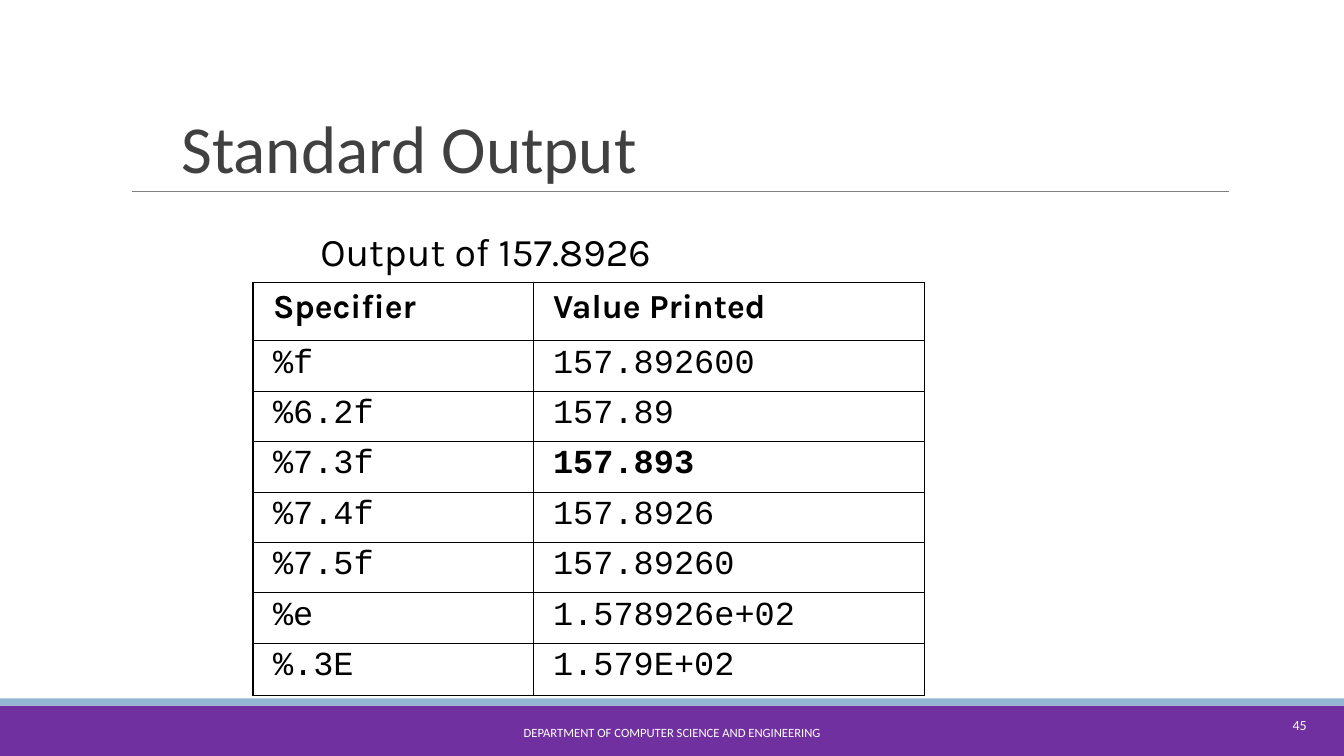
from dataclasses import dataclass

from lxml.etree import SubElement
from pptx import Presentation
from pptx.dml.color import RGBColor
from pptx.enum.shapes import MSO_CONNECTOR, MSO_SHAPE
from pptx.enum.text import MSO_ANCHOR, PP_ALIGN
from pptx.oxml.ns import qn
from pptx.util import Inches, Pt


@dataclass(frozen=True)
class Theme:
    purple: str = "7030A0"
    blue: str = "94B6D2"
    rule: str = "7F7F7F"
    heading: str = "404040"
    black: str = "000000"
    white: str = "FFFFFF"
    sans: str = "Calibri"
    body: str = "Karla"
    code: str = "Courier New"
    title_size: float = 48
    caption_size: float = 28
    table_size: float = 24
    number_size: float = 10
    footer_size: float = 9
    outer_border: float = 1.08
    inner_border: float = 0.45


THEME = Theme()
SLIDE_WIDTH, SLIDE_HEIGHT = 13.34, 7.5
COLUMN_WIDTHS = (2.78, 3.89)
ROW_HEIGHTS = (0.58, *[0.5] * 6, 0.52)
HEADER = ("Specifier", "Value Printed")
OUTPUTS = (
    ("%f", "157.892600"),
    ("%6.2f", "157.89"),
    ("%7.3f", "157.893"),
    ("%7.4f", "157.8926"),
    ("%7.5f", "157.89260"),
    ("%e", "1.578926e+02"),
    ("%.3E", "1.579E+02"),
)
BOLD_VALUE = "157.893"


def write_text(frame, text, *, font, size, color, bold=False,
               align=PP_ALIGN.LEFT, line_spacing=None):
    paragraph = frame.paragraphs[0]
    paragraph.alignment = align
    if line_spacing:
        paragraph.line_spacing = Pt(line_spacing)
    run = paragraph.add_run()
    run.text = text
    run.font.name = font
    run.font.size = Pt(size)
    run.font.bold = bold
    run.font.color.rgb = RGBColor.from_string(color)


def add_text(slide, box, text, *, anchor=MSO_ANCHOR.TOP, **text_format):
    frame = slide.shapes.add_textbox(*map(Inches, box)).text_frame
    frame.word_wrap = True
    frame.vertical_anchor = anchor
    frame.margin_left = frame.margin_top = Inches(0.01)
    frame.margin_right = frame.margin_bottom = 0
    write_text(frame, text, **text_format)


def add_band(slide, box, color):
    band = slide.shapes.add_shape(MSO_SHAPE.RECTANGLE, *map(Inches, box))
    band.shadow.inherit = False
    band.fill.solid()
    band.fill.fore_color.rgb = RGBColor.from_string(color)
    band.line.fill.background()


def add_footer(slide, box):
    left, top, width, height = box
    stripe = 0.07
    add_band(slide, (left, top + stripe, width, height - stripe), THEME.purple)
    add_band(slide, (left, top, width, stripe), THEME.blue)
    add_text(slide, (left + 4.03, top + 0.13, 5.27, 0.4),
             "DEPARTMENT OF COMPUTER SCIENCE AND ENGINEERING",
             font=THEME.sans, size=THEME.footer_size, color=THEME.white,
             align=PP_ALIGN.CENTER, anchor=MSO_ANCHOR.MIDDLE)
    add_text(slide, (left + width - 0.77, top + 0.17, 0.4, 0.18), "45",
             font=THEME.sans, size=THEME.number_size, color=THEME.white,
             align=PP_ALIGN.RIGHT, anchor=MSO_ANCHOR.MIDDLE)


def add_title(slide, box):
    """Place the heading with its rule along the bottom of the box."""
    left, top, width, height = box
    bottom = top + height
    rule = slide.shapes.add_connector(
        MSO_CONNECTOR.STRAIGHT, Inches(left), Inches(bottom),
        Inches(left + width), Inches(bottom))
    rule.line.color.rgb = RGBColor.from_string(THEME.rule)
    rule.line.width = Pt(0.5)
    SubElement(rule.element.spPr, qn("a:effectLst"))
    add_text(slide, (left + 0.48, top, 5.99, height - 0.05),
             "Standard Output", font=THEME.sans, size=THEME.title_size,
             color=THEME.heading, anchor=MSO_ANCHOR.BOTTOM)


def set_borders(cell, outer_sides):
    properties = cell._tc.get_or_add_tcPr()
    for position, side in enumerate("LRTB"):
        points = THEME.outer_border if side in outer_sides else THEME.inner_border
        line = properties.makeelement(qn(f"a:ln{side}"), {"w": str(Pt(points))})
        fill = SubElement(line, qn("a:solidFill"))
        SubElement(fill, qn("a:srgbClr"), val=THEME.black)
        properties.insert(position, line)


def add_output_table(slide, box):
    """Place the caption and the table of specifiers below it."""
    left, top, width, height = box
    caption_height = 0.56
    add_text(slide, (left + 0.66, top, 4.47, 0.48), "Output of 157.8926",
             font=THEME.body, size=THEME.caption_size, color=THEME.black)
    rows = (HEADER, *OUTPUTS)
    table = slide.shapes.add_table(
        len(rows), len(HEADER), Inches(left), Inches(top + caption_height),
        Inches(width), Inches(height - caption_height)).table
    table.first_row = table.horz_banding = False
    for column, column_width in zip(table.columns, COLUMN_WIDTHS):
        column.width = Inches(column_width)
    for row_index, (values, row_height) in enumerate(zip(rows, ROW_HEIGHTS)):
        table.rows[row_index].height = Inches(row_height)
        is_header = row_index == 0
        row_sides = "T" if is_header else "B" if values == rows[-1] else ""
        for column_index, value in enumerate(values):
            cell = table.cell(row_index, column_index)
            cell.fill.background()
            cell.margin_left = Inches(0.2)
            set_borders(cell, row_sides + "LR"[column_index])
            write_text(cell.text_frame, value,
                       font=THEME.body if is_header else THEME.code,
                       size=THEME.table_size, color=THEME.black,
                       bold=is_header or value == BOLD_VALUE,
                       line_spacing=None if is_header else 26.7)


def main():
    presentation = Presentation()
    presentation.slide_width = Inches(SLIDE_WIDTH)
    presentation.slide_height = Inches(SLIDE_HEIGHT)
    slide = presentation.slides.add_slide(presentation.slide_layouts[6])
    add_footer(slide, (0, 6.93, SLIDE_WIDTH, 0.57))
    add_title(slide, (1.31, 1.03, 10.89, 0.87))
    add_output_table(slide, (2.51, 2.24, sum(COLUMN_WIDTHS), 4.66))
    presentation.save("out.pptx")


if __name__ == "__main__":
    main()
